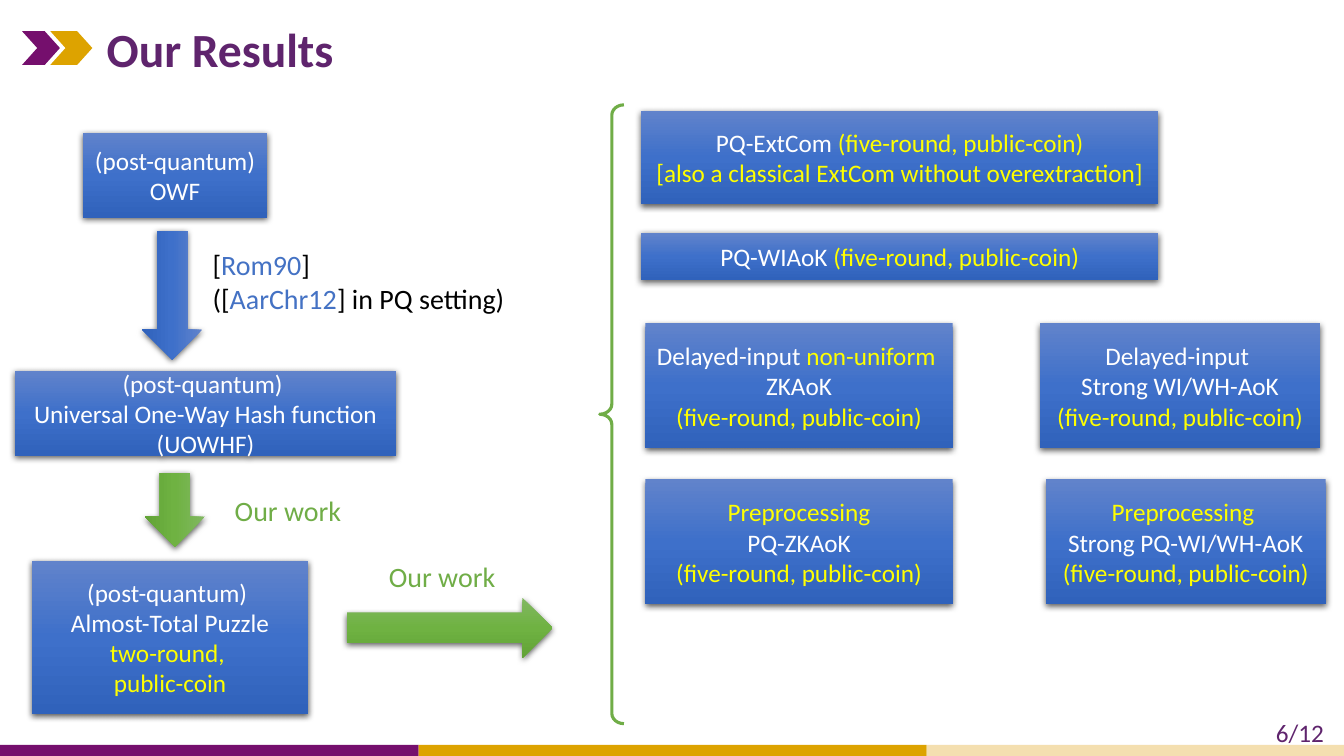
"""Build the "Our Results" slide: from one-way functions to post-quantum protocols."""
from pptx import Presentation
from pptx.dml.color import RGBColor
from pptx.enum import shapes, text
from pptx.oxml import parse_xml
from pptx.oxml import ns
from pptx.util import Pt

COLOURS = {
    "purple": "750F6D", "gold": "DDA300", "cream": "F4DFB0", "heading": "5F246D",
    "white": "FFFFFF", "yellow": "FFFF00", "black": "000000",
    "blue": "4472C4", "green": "70AD47",
}
GRADIENTS = {
    "blue": ["6183CB", "3E70CA", "3062BB"],
    "green": ["81B861", "6FB242", "62A336"],
}
FIVE_ROUND = "*(five-round, public-coin)*"
MSO = shapes.MSO_SHAPE


def write(target, words, size=18, colour="white", accent="yellow", bold=False,
          align=text.PP_ALIGN.LEFT, anchor=text.MSO_ANCHOR.TOP):
    """Fill a shape with lines of text; parts between asterisks take the accent colour."""
    frame = target.text_frame
    frame.word_wrap = True
    frame.auto_size = text.MSO_AUTO_SIZE.NONE
    frame.vertical_anchor = anchor
    for number, line in enumerate(words.split("\n")):
        paragraph = frame.add_paragraph() if number else frame.paragraphs[0]
        paragraph.alignment = align
        for position, part in enumerate(line.split("*")):
            if part:
                run = paragraph.add_run()
                run.text = part
                run.font.name = "Calibri"
                run.font.size = Pt(size)
                run.font.bold = bold
                run.font.color.rgb = RGBColor.from_string(COLOURS[accent if position % 2 else colour])


def add_glossy(kind, box, gradient):
    """Add a shape with a three-stop gradient and a soft shadow below it."""
    glossy = slide.shapes.add_shape(kind, *map(Pt, box))
    glossy.line.fill.background()
    glossy.fill.gradient()
    glossy.fill.gradient_angle = 270
    properties = glossy.element.spPr
    stops = properties.find(".//" + ns.qn("a:gsLst"))
    stops.clear()
    for position, shade in zip((0, 50000, 100000), GRADIENTS[gradient]):
        stops.append(parse_xml(
            f'<a:gs {ns.nsdecls("a")} pos="{position}"><a:srgbClr val="{shade}"/></a:gs>'))
    glossy.shadow.inherit = False
    properties.find(ns.qn("a:effectLst")).append(parse_xml(
        f'<a:outerShdw {ns.nsdecls("a")} blurRad="{Pt(4.5)}" dist="{Pt(1.5)}" dir="5400000" '
        f'algn="ctr" rotWithShape="0"><a:srgbClr val="{COLOURS["black"]}">'
        '<a:alpha val="63000"/></a:srgbClr></a:outerShdw>'))
    return glossy


deck = Presentation()
deck.slide_width, deck.slide_height = Pt(960), Pt(540)
slide = deck.slides.add_slide(deck.slide_layouts[5])

for kind, box, colour in [
    (MSO.RECTANGLE, (0, 532, 299, 8), "purple"),
    (MSO.RECTANGLE, (299, 532, 363, 8), "gold"),
    (MSO.RECTANGLE, (662, 532, 298, 8), "cream"),
    (MSO.CHEVRON, (15.8, 22.3, 27, 24), "purple"),
    (MSO.CHEVRON, (36, 22.3, 30, 24), "gold"),
]:
    ornament = slide.shapes.add_shape(kind, *map(Pt, box))
    ornament.shadow.inherit = False
    ornament.line.fill.background()
    ornament.fill.solid()
    ornament.fill.fore_color.rgb = RGBColor.from_string(COLOURS[colour])
    if kind == MSO.CHEVRON:
        ornament.adjustments[0] = 0.45

heading = slide.shapes.title
heading.left, heading.top, heading.width, heading.height = map(Pt, (69, 8.6, 807, 52.6))
write(heading, "Our Results", size=34, colour="heading", bold=True, anchor=text.MSO_ANCHOR.MIDDLE)

for box, words in [
    ((59, 95, 132, 60.5), "(post-quantum) \nOWF"),
    ((10.8, 265, 272, 60.5), "(post-quantum) \nUniversal One-Way Hash function (UOWHF)"),
    ((23, 400.5, 197, 109.5), "(post-quantum) \nAlmost-Total Puzzle\n*two-round, *\n*public-coin*"),
    ((458, 79, 369.4, 67), f"PQ-ExtCom {FIVE_ROUND}\n*[also a classical ExtCom without overextraction]*"),
    ((458, 166.5, 369.4, 33.5), f"PQ-WIAoK {FIVE_ROUND}"),
    ((461, 231, 219.5, 89.3), f"Delayed-input *non-uniform *\nZKAoK\n{FIVE_ROUND}"),
    ((743, 231, 200, 89.3), f"Delayed-input \nStrong WI/WH-AoK\n{FIVE_ROUND}"),
    ((461, 342.5, 219.5, 89.3), f"*Preprocessing*\nPQ-ZKAoK\n{FIVE_ROUND}"),
    ((747, 342.5, 200, 89.3), f"*Preprocessing *\nStrong PQ-WI/WH-AoK\n{FIVE_ROUND}"),
]:
    primitive = add_glossy(MSO.RECTANGLE, box, "blue")
    write(primitive, words, align=text.PP_ALIGN.CENTER, anchor=text.MSO_ANCHOR.MIDDLE)

for box, gradient, rotation in [
    ((77, 189.4, 92, 43), "blue", 90),
    ((98.6, 342.7, 52.6, 43), "green", 90),
    ((247.7, 427, 147, 43), "green", 0),
]:
    implication = add_glossy(MSO.RIGHT_ARROW, box, gradient)
    implication.rotation = rotation

consequences = slide.shapes.add_shape(MSO.LEFT_BRACE, *map(Pt, (428.4, 74.9, 17.3, 442)))
consequences.shadow.inherit = False
consequences.fill.background()
consequences.line.color.rgb = RGBColor.from_string(COLOURS["green"])
consequences.line.width = Pt(2.25)
consequences.adjustments[0] = 0.42

for box, words, size, colour in [
    ((144.7, 173.5, 228, 55.5), "[*Rom90*]\n([*AarChr12*] in PQ setting)", 20, "black"),
    ((160.6, 349.2, 147, 31.7), "Our work", 20, "green"),
    ((270.7, 396, 93.6, 31.7), "Our work", 20, "green"),
    ((904.3, 509, 63.4, 29), "6/12", 18, "heading"),
]:
    label = slide.shapes.add_textbox(*map(Pt, box))
    write(label, words, size=size, colour=colour, accent="blue")

deck.save("out.pptx")
